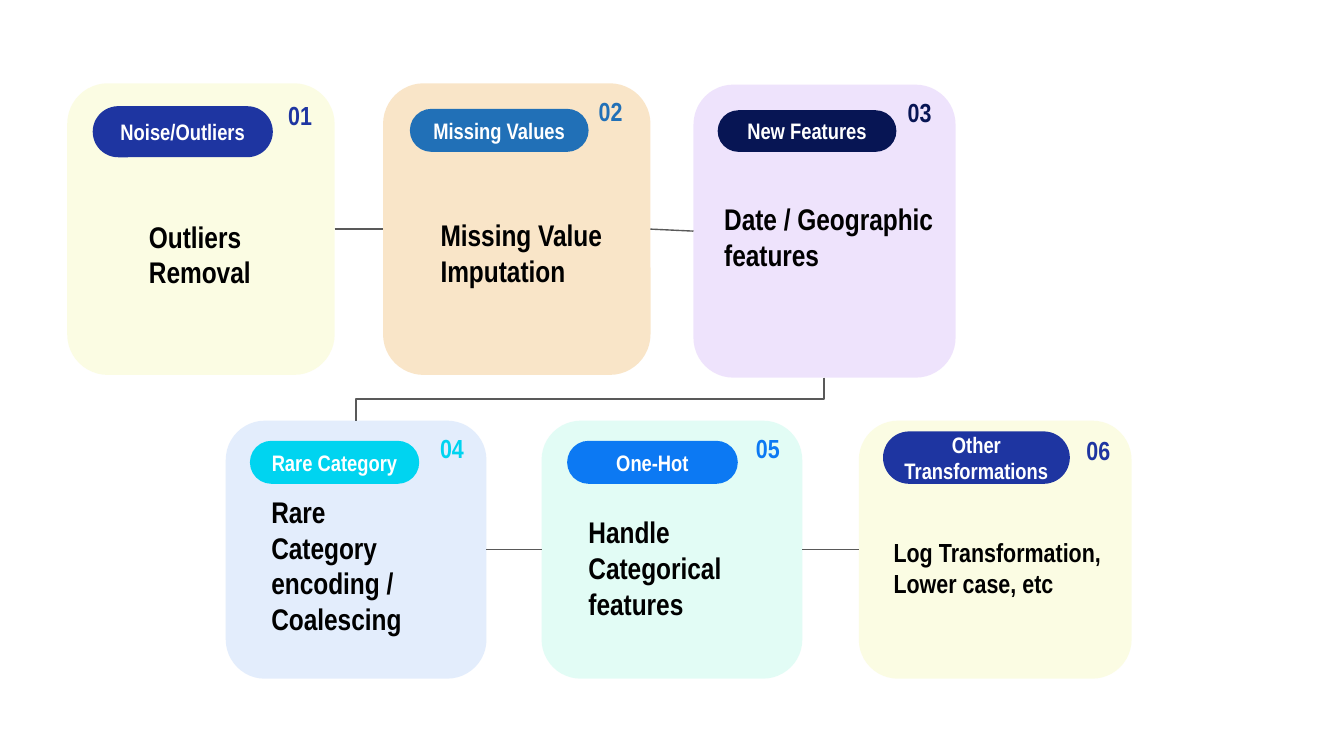
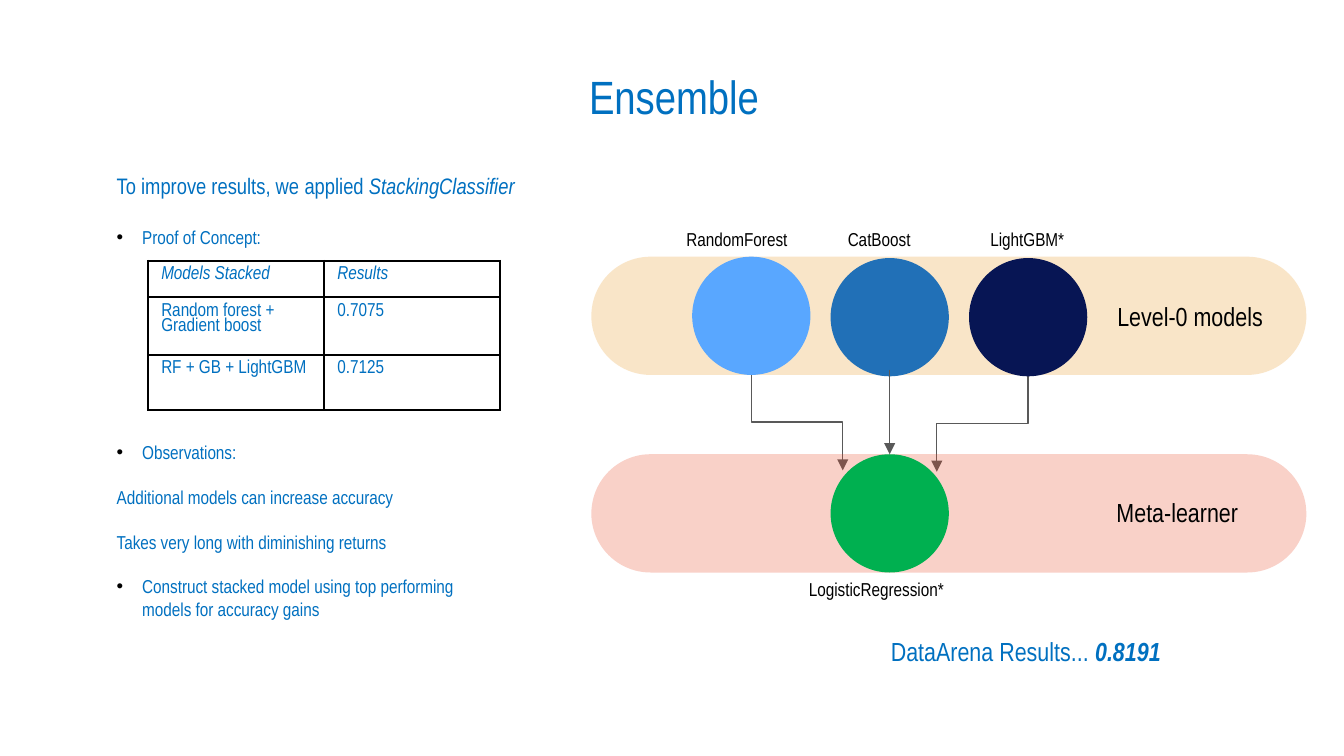
"""Build two slides: a feature preparation flow and an ensemble overview."""
from lxml import etree
from pptx import Presentation
from pptx.dml.color import RGBColor
from pptx.enum import shapes, text
from pptx.oxml.ns import qn
from pptx.util import Inches, Pt

FONT = "Arial Narrow"
BLACK = RGBColor(0, 0, 0)
WHITE = RGBColor(255, 255, 255)
GREY = RGBColor(0x59, 0x59, 0x59)
BLUE = RGBColor(0x00, 0x70, 0xC0)
ROYAL = RGBColor(0x1E, 0x35, 0xA1)
STEEL = RGBColor(0x21, 0x70, 0xB7)
NAVY = RGBColor(0x07, 0x15, 0x54)
CYAN = RGBColor(0x00, 0xD4, 0xF0)
AZURE = RGBColor(0x0C, 0x79, 0xF3)
SKY = RGBColor(0x59, 0xA7, 0xFF)
GREEN = RGBColor(0x00, 0xB0, 0x50)
YELLOW = RGBColor(0xE4, 0xEA, 0x27)
ORANGE = RGBColor(0xE9, 0x9B, 0x27)
VIOLET = RGBColor(0x80, 0x27, 0xEA)
COBALT = RGBColor(0x27, 0x76, 0xEA)
MINT = RGBColor(0x26, 0xEA, 0xB8)
RED = RGBColor(0xEA, 0x48, 0x27)

CARDS = [
    dict(card=(0.5, 0.62, 1.99, 2.17), tint=YELLOW, alpha=13, accent=ROYAL,
         label="Noise/Outliers", pill=(0.69, 0.79, 1.34, 0.38),
         body="Outliers Removal", body_at=(1.01, 1.5, 0.97, 0.78), number_at=(2.01, 0.65)),
    dict(card=(2.85, 0.62, 1.99, 2.17), tint=ORANGE, alpha=25, accent=STEEL,
         label="Missing Values", pill=(3.05, 0.81, 1.33, 0.32),
         body="Missing Value Imputation", body_at=(3.18, 1.55, 1.46, 0.66), number_at=(4.32, 0.62)),
    dict(card=(5.16, 0.63, 1.95, 2.18), tint=VIOLET, alpha=13, accent=NAVY,
         label="New Features", pill=(5.34, 0.82, 1.33, 0.31),
         body="Date / Geographic features", body_at=(5.29, 1.49, 1.8, 0.54), number_at=(6.62, 0.63)),
    dict(card=(1.68, 3.13, 1.94, 1.92), tint=COBALT, alpha=13, accent=CYAN,
         label="Rare Category", pill=(1.86, 3.28, 1.26, 0.32),
         body="Rare Category encoding / Coalescing", body_at=(1.92, 3.87, 1.42, 0.67),
         number_at=(3.14, 3.13)),
    dict(card=(4.03, 3.13, 1.94, 1.92), tint=MINT, alpha=13, accent=AZURE,
         label="One-Hot", pill=(4.22, 3.28, 1.27, 0.32),
         body="Handle Categorical features", body_at=(4.28, 3.89, 1.49, 0.67), number_at=(5.49, 3.13)),
    dict(card=(6.39, 3.13, 2.03, 1.92), tint=YELLOW, alpha=13, accent=ROYAL,
         label="Other Transformations", pill=(6.57, 3.21, 1.39, 0.39),
         body="Log Transformation, Lower case, etc", body_at=(6.55, 3.89, 1.75, 0.67),
         body_size=14, number_at=(7.95, 3.14)),
]

BANDS = [
    ("Level-0 models", (4.4, 1.91, 5.32, 0.88), ORANGE, (7.93, 2.18, 1.85, 0.34)),
    ("Meta-learner", (4.4, 3.38, 5.32, 0.88), RED, (8.02, 3.64, 1.48, 0.34)),
]
MODELS = [
    ("RandomForest", SKY, (5.15, 1.91), (5.01, 1.65, 1.13, 0.27)),
    ("CatBoost", STEEL, (6.18, 1.92), (6.21, 1.65, 0.77, 0.27)),
    ("LightGBM*", NAVY, (7.21, 1.92), (7.27, 1.65, 0.88, 0.27)),
    ("LogisticRegression*", GREEN, (6.18, 3.38), (5.92, 4.25, 1.38, 0.27)),
]
DIAMETER = 0.88
BENT_ARROWS = [((7.65, 2.79), (6.97, 3.51)), ((5.59, 2.78), (6.27, 3.5))]

RESULTS = [
    ("Models Stacked", "Results"),
    ("Random forest + Gradient boost", "0.7075"),
    ("RF + GB + LightGBM", "0.7125"),
]
ROW_HEIGHTS = (0.27, 0.43, 0.41)
COLUMN_WIDTH = 1.31

INTRO = [
    dict(spans=[("To improve results, we\u00a0applied ", {}), ("StackingClassifier", {"italic": True})], size=12),
    dict(spans=[("Proof of Concept:", {})], size=10, bullet=True, before=14.4),
]
OBSERVATIONS = [
    dict(spans=[("Observations:", {})], size=10, bullet=True),
    dict(spans=[("Additional models can increase accuracy", {})], size=10, before=12),
    dict(spans=[("Takes very long with diminishing returns", {})], size=10, before=12),
    dict(spans=[("Construct stacked model using top performing models for accuracy gains", {})],
         size=10, bullet=True, before=12),
]
SCORE = [dict(spans=[("DataArena Results... ", {}), ("0.8191", {"bold": True, "italic": True})], size=14)]


def add_span(para, words, color, **formats):
    """Add a run in the deck font with the given format values."""
    span = para.add_run()
    span.text = words
    span.font.name = FONT
    span.font.color.rgb = color
    for name, value in formats.items():
        setattr(span.font, name, value)


def write(box, words, size, color=BLACK, bold=False, align=text.PP_ALIGN.LEFT,
          anchor=text.MSO_ANCHOR.MIDDLE):
    """Write one paragraph into a shape."""
    frame = box.text_frame
    frame.word_wrap = True
    frame.vertical_anchor = anchor
    para = frame.paragraphs[0]
    para.alignment = align
    add_span(para, words, color, size=Pt(size), bold=bold)


def add_label(page, area, words, size, **formats):
    """Add a text box holding one paragraph."""
    write(page.shapes.add_textbox(*map(Inches, area)), words, size, **formats)


def add_notes_box(page, area, paragraphs):
    """Add a blue text box with several paragraphs, some bulleted."""
    frame = page.shapes.add_textbox(*map(Inches, area)).text_frame
    frame.word_wrap = True
    for index, item in enumerate(paragraphs):
        para = frame.add_paragraph() if index else frame.paragraphs[0]
        para.space_before = Pt(item.get("before", 0))
        for words, formats in item["spans"]:
            add_span(para, words, BLUE, size=Pt(item["size"]), **formats)
        if item.get("bullet"):
            props = para._p.get_or_add_pPr()
            props.set("marL", str(Inches(0.19)))
            props.set("indent", str(-Inches(0.19)))
            color = etree.SubElement(props, qn("a:buClr"))
            etree.SubElement(color, qn("a:srgbClr"), val=str(BLACK))
            etree.SubElement(props, qn("a:buFont"), typeface="Arial")
            etree.SubElement(props, qn("a:buChar"), char="•")


def add_block(page, kind, area, color, alpha=100, rounding=None):
    """Add a filled shape without outline or shadow."""
    block = page.shapes.add_shape(kind, *map(Inches, area))
    block.shadow.inherit = False
    block.line.fill.background()
    block.fill.solid()
    block.fill.fore_color.rgb = color
    if rounding is not None:
        block.adjustments[0] = rounding
    if alpha < 100:
        shade = block._element.spPr.find(qn("a:solidFill")).find(qn("a:srgbClr"))
        etree.SubElement(shade, qn("a:alpha"), val=str(alpha * 1000))
    return block


def add_line(page, begin, end, kind=shapes.MSO_CONNECTOR.STRAIGHT, arrow=False):
    """Add a thin grey connector."""
    line = page.shapes.add_connector(kind, *map(Inches, (*begin, *end)))
    line.line.color.rgb = GREY
    line.line.width = Pt(0.75)
    if arrow:
        etree.SubElement(line.line._get_or_add_ln(), qn("a:tailEnd"), type="triangle")
    etree.SubElement(line._element.spPr, qn("a:effectLst"))
    return line


def add_drop(page, begin, end, arrow=False):
    """Add an elbow that leaves and arrives vertically, going down."""
    (x1, y1), (x2, y2) = begin, end
    middle_x, middle_y = (x1 + x2) / 2, (y1 + y2) / 2
    half_wide, half_high = (y2 - y1) / 2, abs(x2 - x1) / 2
    side = 1 if x2 < x1 else -1
    line = add_line(page, (middle_x - side * half_wide, middle_y - half_high),
                    (middle_x + side * half_wide, middle_y + half_high),
                    shapes.MSO_CONNECTOR.ELBOW, arrow)
    turn = 90 if side == 1 else 270
    line._element.spPr.find(qn("a:xfrm")).set("rot", str(turn * 60000))


def join(page, left, right):
    """Connect the right side of one card to the left side of the next."""
    line = add_line(page, (0, 0), (1, 1))
    line.begin_connect(left, 3)
    line.end_connect(right, 1)


def build_flow(page):
    """Draw six numbered cards in two joined rows."""
    rounded = shapes.MSO_SHAPE.ROUNDED_RECTANGLE
    add_drop(page, (6.13, 2.81), (2.65, 3.13))
    cards = []
    for number, item in enumerate(CARDS, 1):
        cards.append(add_block(page, rounded, item["card"], item["tint"], item["alpha"], 0.152))
        pill = add_block(page, rounded, item["pill"], item["accent"], rounding=0.5)
        write(pill, item["label"], 12, WHITE, True, text.PP_ALIGN.CENTER)
        add_label(page, item["body_at"], item["body"], item.get("body_size", 16), bold=True)
        add_label(page, (*item["number_at"], 0.41, 0.41), f"{number:02}", 14,
                  color=item["accent"], bold=True, align=text.PP_ALIGN.RIGHT)
    for row in (cards[:3], cards[3:]):
        for left, right in zip(row, row[1:]):
            join(page, left, right)


def add_results(page):
    """Add the table of stacked models and their scores."""
    area = (1.1, 1.94, 2 * COLUMN_WIDTH, sum(ROW_HEIGHTS))
    table = page.shapes.add_table(len(RESULTS), 2, *map(Inches, area)).table
    table.first_row = table.horz_banding = False
    for column in table.columns:
        column.width = Inches(COLUMN_WIDTH)
    for r, (values, height) in enumerate(zip(RESULTS, ROW_HEIGHTS)):
        table.rows[r].height = Inches(height)
        for c, value in enumerate(values):
            cell = table.cell(r, c)
            para = cell.text_frame.paragraphs[0]
            para.line_spacing = 0.9
            add_span(para, value, BLUE, size=Pt(10), italic=r == 0)
            props = cell._tc.get_or_add_tcPr()
            for side in ("a:lnL", "a:lnR", "a:lnT", "a:lnB"):
                border = etree.SubElement(props, qn(side), w=str(Pt(1)))
                fill = etree.SubElement(border, qn("a:solidFill"))
                etree.SubElement(fill, qn("a:srgbClr"), val=str(BLACK))
            cell.fill.background()


def build_ensemble(page):
    """Draw the stacking diagram with notes and results."""
    centre = text.PP_ALIGN.CENTER
    add_label(page, (0.53, 0.45, 8.97, 0.53), "Ensemble", 25, color=BLUE, align=centre)
    for begin, end in BENT_ARROWS:
        add_drop(page, begin, end, arrow=True)
    for words, area, color, label_at in BANDS:
        add_block(page, shapes.MSO_SHAPE.ROUNDED_RECTANGLE, area, color, 25, 0.5)
        add_label(page, label_at, words, 14, align=centre)
    for words, color, corner, label_at in MODELS:
        circle = add_block(page, shapes.MSO_SHAPE.OVAL, (*corner, DIAMETER, DIAMETER), color)
        add_label(page, label_at, words, 10, anchor=text.MSO_ANCHOR.TOP)
    add_line(page, (6.62, 2.75), (6.62, 3.38), arrow=True).end_connect(circle, 0)
    add_notes_box(page, (0.77, 1.23, 3.84, 1.85), INTRO)
    add_results(page)
    add_notes_box(page, (0.77, 3.23, 3, 1.45), OBSERVATIONS)
    add_notes_box(page, (6.53, 4.68, 3, 0.34), SCORE)


def main():
    """Build the deck and save it."""
    deck = Presentation()
    deck.slide_width = Inches(10)
    deck.slide_height = deck.slide_width * 9 // 16
    for build in (build_flow, build_ensemble):
        build(deck.slides.add_slide(deck.slide_layouts[6]))
    deck.save("out.pptx")


if __name__ == "__main__":
    main()
